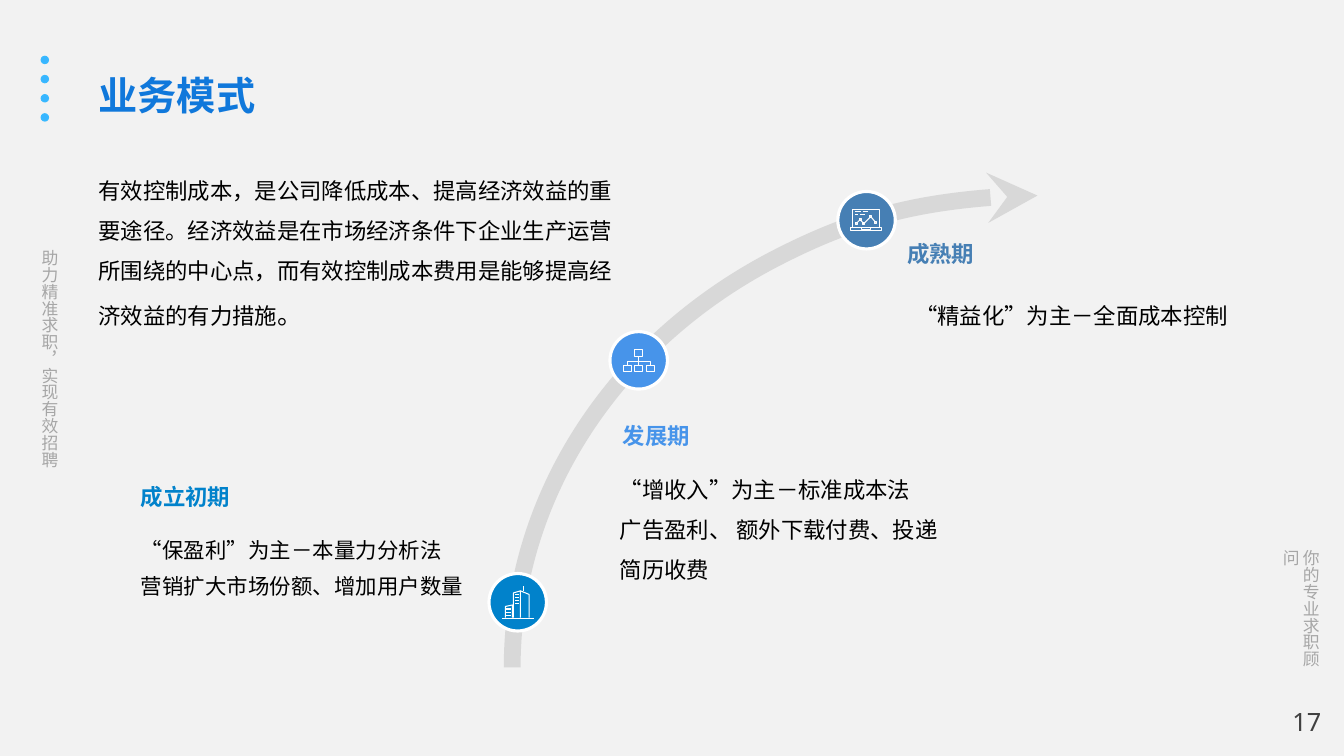
from lxml.etree import SubElement
from pptx import Presentation
from pptx.dml.color import RGBColor as Rgb
from pptx.enum.shapes import MSO_SHAPE as Kind
from pptx.enum.text import MSO_AUTO_SIZE as Fit
from pptx.oxml.ns import qn
from pptx.util import Inches, Pt

HEX = {
    "back": "F2F2F2", "dot": "38B5FF", "rim": "39B9FF", "side": "A6A6A6",
    "page": "404040", "title": "1078DB", "text": "000000", "white": "FFFFFF",
    "curve": "D8D8D8", "start": "0182CB", "grow": "4794EA", "ripe": "467FB4",
}
INK = {name: Rgb.from_string(code) for name, code in HEX.items()}
SANS, HAN = "Noto Sans", "Noto Sans CJK SC"

deck = Presentation()
deck.slide_width, deck.slide_height = Inches(13.33), Inches(7.5)
shapes = deck.slides.add_slide(deck.slide_layouts[6]).shapes


def write(spot, lines, size, ink, face=HAN, bold=False, gap=None, wrap=True):
    box = shapes.add_textbox(*map(Inches, spot))
    frame = box.text_frame
    frame.word_wrap = wrap
    frame.text = "\n".join(lines)
    for par in frame.paragraphs:
        font = par.font
        font.size, font.name, font.bold = Pt(size), face, bold
        font.color.rgb = INK[ink]
        par.line_spacing = gap
    for prop in box.element.iter(qn("a:defRPr")):
        SubElement(prop, qn("a:ea"), typeface=HAN)
    return box


def paint(shape, fill, line, width):
    """Set fill and outline; no fill leaves the shape hollow."""
    shape.shadow.inherit = False
    if fill:
        shape.fill.solid()
        shape.fill.fore_color.rgb = INK[fill]
    else:
        shape.fill.background()
    shape.line.color.rgb = INK[line]
    shape.line.width = Pt(width)


# Frame of the page
back = shapes.add_shape(Kind.RECTANGLE, 0, 0, deck.slide_width, deck.slide_height)
paint(back, "back", "back", 1)
for row in range(4):
    dot = shapes.add_shape(Kind.OVAL, Inches(0.41), Inches(0.56 + 0.19 * row),
                           Inches(0.07), Inches(0.07))
    paint(dot, "dot", "rim", 1)

for spot, motto in (
    ((12.75, 5.36, 0.4, 1.5), "你的专业求职顾问"),
    ((0.24, 2.38, 0.4, 2.45), "助力精准求职，实现有效招聘"),
):
    side = write(spot, [motto], 12, "side", SANS)
    side.element.txBody.bodyPr.set("vert", "eaVert")
    side.text_frame.auto_size = Fit.SHAPE_TO_FIT_TEXT

write((12.72, 6.99, 0.5, 0.38), ["17"], 18, "page", SANS, gap=0.9)

# Quarter ellipse: its chord is turned into an arc
wide, high = Inches(5.21), Inches(4.68)
pen = shapes.build_freeform(Inches(10.29), Inches(1.94))
pen.add_line_segments([(Inches(5.08), Inches(6.62))], close=False)
curve = pen.convert_to_shape()
paint(curve, None, "curve", 12)
geom = curve.element.spPr
chord = next(geom.iter(qn("a:lnTo")))
route = chord.getparent()
route.remove(chord)
SubElement(route, qn("a:arcTo"), wR=str(wide), hR=str(high),
           stAng="16200000", swAng="-5400000")
SubElement(geom.find(qn("a:ln")), qn("a:headEnd"), type="stealth")


# Icon outlines, in thousandths of an inch
def frame(x, y, w, h):
    return [(x, y), (x + w, y), (x + w, y + h), (x, y + h), (x, y)]


city = [
    [(4980, 6135), (5300, 6135)],
    [(5015, 6130), (5015, 6020), (5085, 6005), (5085, 6130)],
    [(5095, 6130), (5095, 5885), (5165, 5865), (5165, 6130)],
    [(5165, 5865), (5250, 5900), (5250, 6130)],
    [(5195, 5870), (5195, 5820)],
]
city += [[(5020, y), (5070, y)] for y in range(6045, 6106, 30)]
city += [[(5110, y), (5150, y)] for y in range(5905, 5996, 30)]

tree = [
    frame(6295, 3465, 80, 70),
    [(6335, 3535), (6335, 3620)],
    [(6225, 3620), (6225, 3585), (6455, 3585), (6455, 3620)],
]
tree += [frame(6185 + 115 * col, 3625, 80, 60) for col in range(3)]

nodes = [(8495, 2220), (8535, 2180), (8570, 2220), (8640, 2150), (8690, 2210)]
laptop = [
    nodes,
    [(8455, 2250), (8455, 2075), (8725, 2075), (8725, 2250)],
    frame(8435, 2255, 310, 35),
    frame(8545, 2255, 90, 20),
    [(8480, 2100), (8540, 2100)], [(8560, 2100), (8610, 2100)],
    [(8480, 2125), (8515, 2125)], [(8530, 2125), (8585, 2125)],
]
laptop += [frame(x - 10, y - 10, 20, 20) for x, y in nodes]

# Stages: disc with icon
for left, top, ink, icon in ((4.85, 5.69, "start", city),
                             (6.05, 3.29, "grow", tree),
                             (8.31, 1.9, "ripe", laptop)):
    disc = shapes.add_shape(Kind.OVAL, Inches(left), Inches(top),
                            Inches(0.57), Inches(0.57))
    paint(disc, ink, "white", 2.25)
    pen = shapes.build_freeform(*icon[0][0], scale=Inches(0.001))
    for stroke in icon:
        pen.move_to(*stroke[0])
        pen.add_line_segments(stroke[1:], close=False)
    paint(pen.convert_to_shape(), None, "white", 0.75)

# Stage names and notes
for left, top, name, ink in (
    (1.3, 4.74, "成立初期", "start"),
    (6.08, 4.14, "发展期", "grow"),
    (8.9, 2.33, "成熟期", "ripe"),
):
    write((left, top, 1.2, 0.34), [name], 16, ink, bold=True)

for spot, lines, size, gap in (
    ((1.3, 5.18, 3.43, 1.45),
     ["“保盈利”为主－本量力分析法", "营销扩大市场份额、增加用户数量"], 15.3, 1.4),
    ((6.05, 4.54, 3.53, 1.44),
     ["“增收入”为主－标准成本法", "广告盈利、 额外下载付费、投递简历收费"], 16, 1.5),
    ((8.98, 2.82, 3.53, 1.44), ["“精益化”为主－全面成本控制"], 16, 1.5),
):
    write(spot, lines, size, "text", gap=gap)

intro = write(
    (0.88, 1.57, 5.3, 1.92),
    ["有效控制成本，是公司降低成本、提高经济效益的重要途径。"
     "经济效益是在市场经济条件下企业生产运营所围绕的中心点，"
     "而有效控制成本费用是能够提高经济效益的有力措施"],
    16, "text", gap=1.5)
stop = intro.text_frame.paragraphs[0].add_run()
stop.text = "。"
stop.font.size = Pt(18)

write((0.88, 0.66, 4.5, 0.57), ["业务模式"], 28, "title", bold=True)

deck.save("out.pptx")
